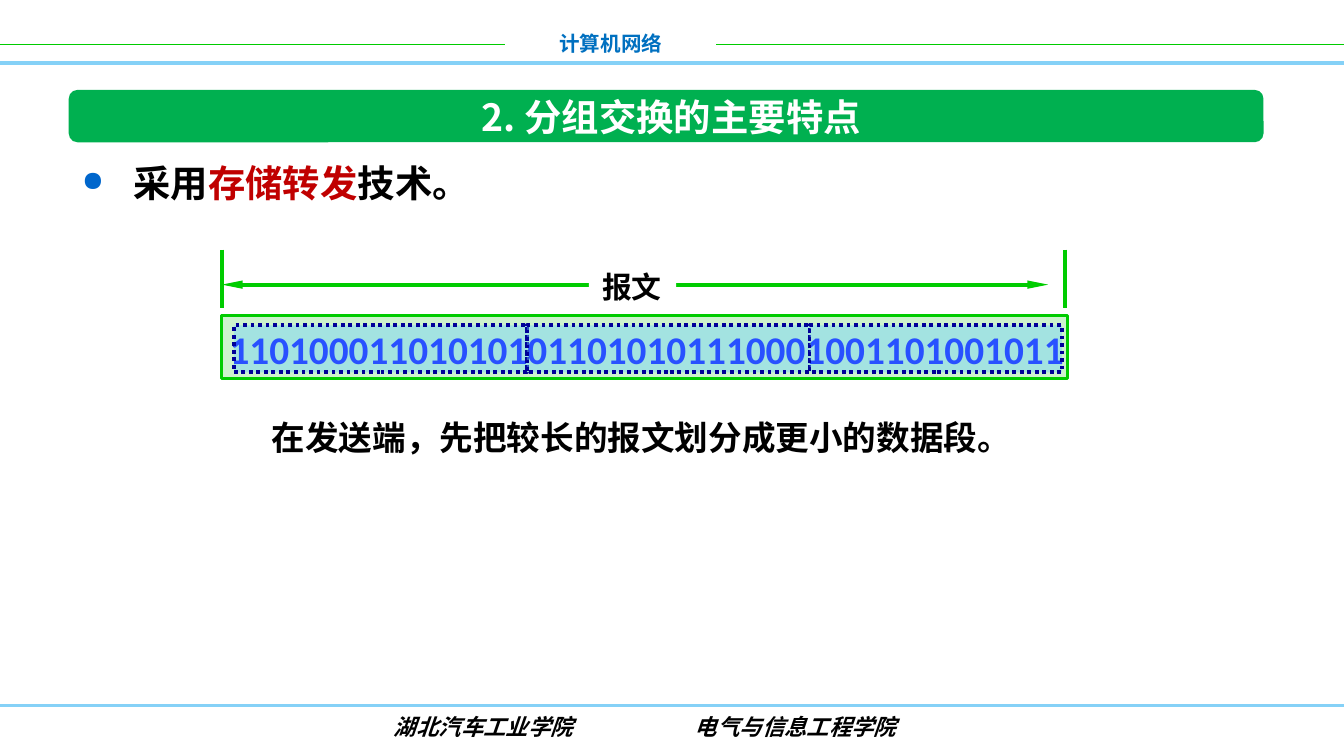
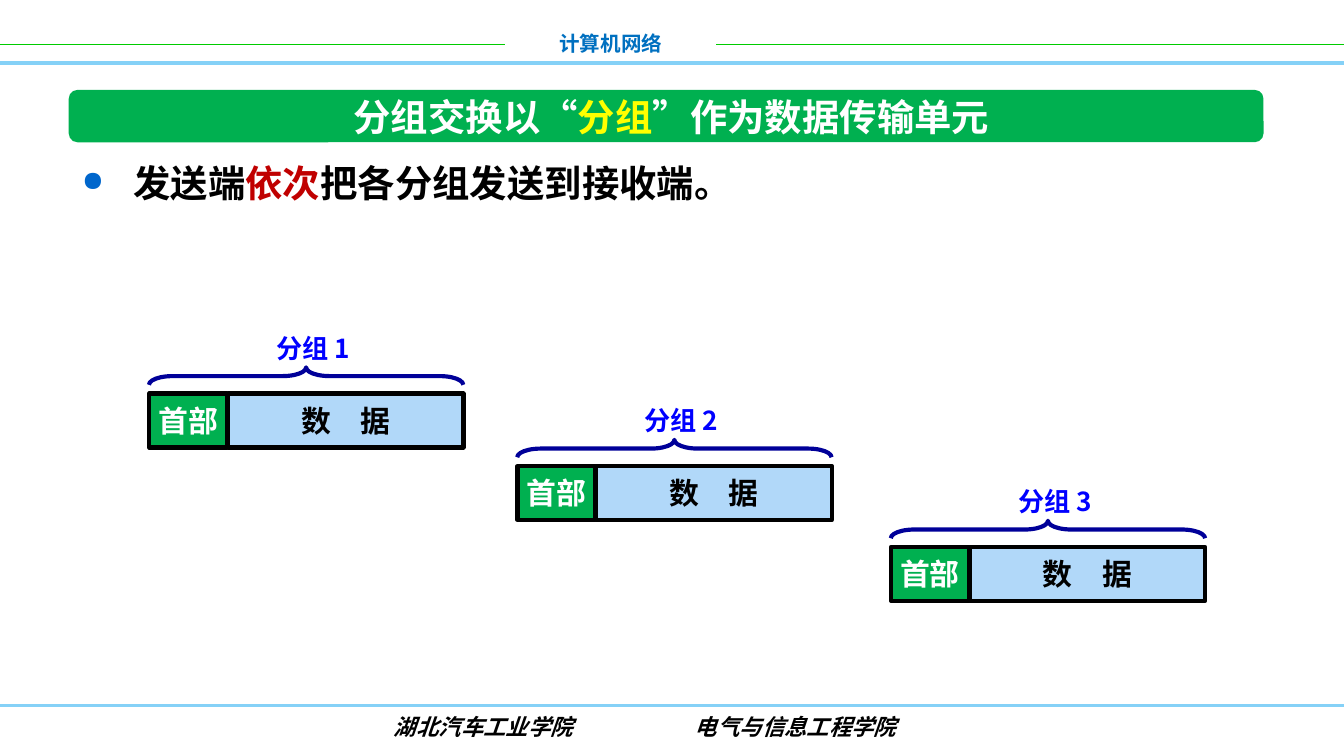
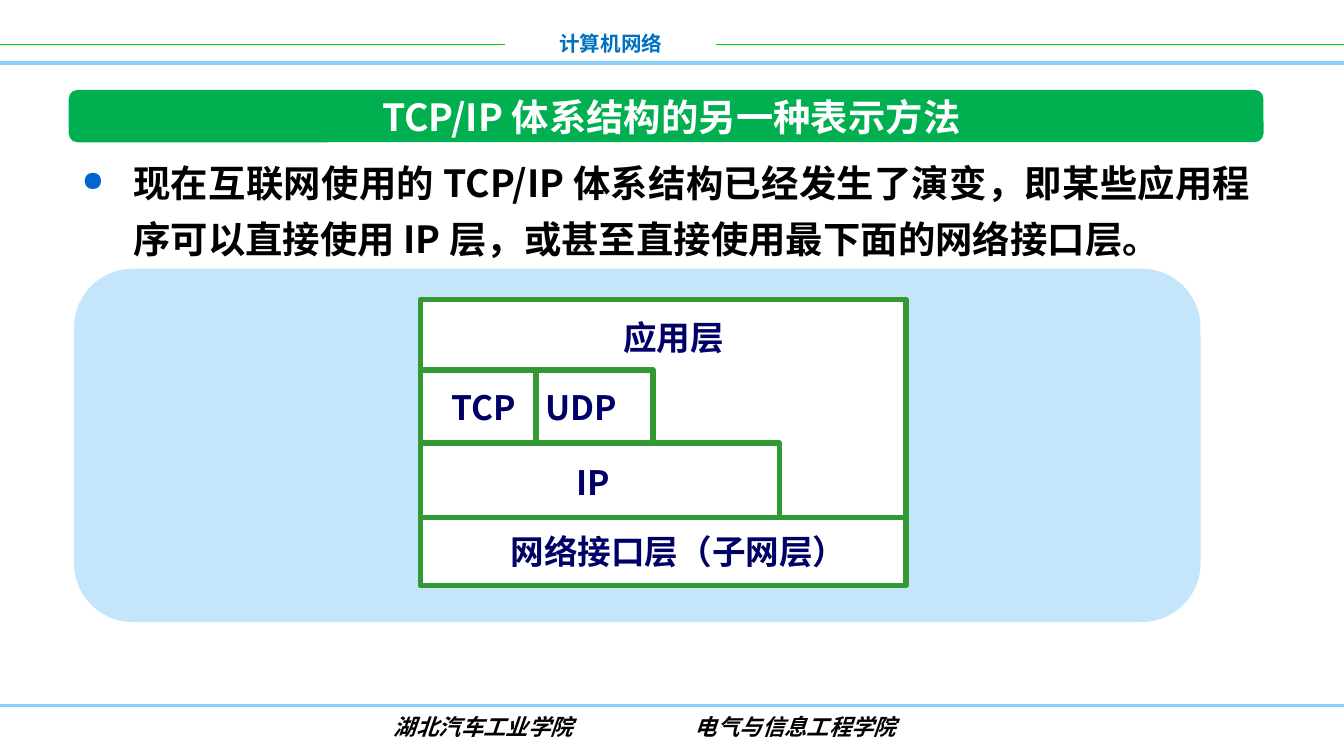
"""Build three slides on packet switching and the TCP/IP stack."""
import lxml.etree
import pptx
import pptx.dml.color
import pptx.enum.dml
import pptx.enum.shapes
import pptx.enum.text
import pptx.oxml.ns
import pptx.shapes.connector
import pptx.util

Cm = pptx.util.Cm
SHAPE = pptx.enum.shapes.MSO_SHAPE
STRAIGHT = pptx.enum.shapes.MSO_CONNECTOR.STRAIGHT
ALIGN = pptx.enum.text.PP_ALIGN
ANCHOR = pptx.enum.text.MSO_ANCHOR
qn = pptx.oxml.ns.qn
CJK_FONT = "Noto Sans CJK SC"

COLORS = {
    "black": "000000", "white": "FFFFFF", "red": "C00000", "yellow": "FFFF00",
    "banner": "00B050", "rule": "00CC00", "sky": "85D1F7", "course": "0070C0",
    "bullet": "0066CC", "blue": "0000FF", "navy": "000099", "message": "CDF3CD",
    "segment": "66CCFF", "data": "B1D8F9", "panel": "C5E5FB",
    "stack": "339933", "layer": "000066",
}


def style(shape, fill=None, line=None, width=1, dash=None, alpha=None):
    """Set the fill and line of a shape or connector and remove its shadow."""
    if line:
        shape.line.color.rgb = pptx.dml.color.RGBColor.from_string(COLORS[line])
        shape.line.width = pptx.util.Pt(width)
        shape.line.dash_style = dash
    else:
        shape.line.fill.background()
    if isinstance(shape, pptx.shapes.connector.Connector):
        lxml.etree.SubElement(shape._element.spPr, qn("a:effectLst"))
        return shape
    shape.shadow.inherit = False
    if fill:
        shape.fill.solid()
        shape.fill.fore_color.rgb = pptx.dml.color.RGBColor.from_string(COLORS[fill])
        if alpha:
            color = shape._element.spPr.find(qn("a:solidFill"))[0]
            lxml.etree.SubElement(color, qn("a:alpha"), val=str(alpha * 1000))
    else:
        shape.fill.background()
    return shape


def write(shape, text, size=18, color="black", font=CJK_FONT, italic=False,
          align=ALIGN.LEFT, anchor=ANCHOR.TOP, wrap=True, bullet=False):
    """Write bold text, given as a string or as (text, color) pairs."""
    frame = shape.text_frame
    frame.word_wrap = wrap
    frame.vertical_anchor = anchor
    paragraph = frame.paragraphs[0]
    paragraph.alignment = align
    if bullet:
        properties = paragraph._p.get_or_add_pPr()
        properties.set("marL", str(Cm(0.97)))
        properties.set("indent", str(-Cm(0.97)))
        bullet_color = lxml.etree.SubElement(properties, qn("a:buClr"))
        lxml.etree.SubElement(bullet_color, qn("a:srgbClr"), val=COLORS["bullet"])
        lxml.etree.SubElement(properties, qn("a:buSzPct"), val="75000")
        lxml.etree.SubElement(properties, qn("a:buChar"), char="●")
        paragraph.line_spacing = pptx.util.Pt(30)
    for words, run_color in [(text, color)] if isinstance(text, str) else text:
        run = paragraph.add_run()
        run.text = words
        run.font.size = pptx.util.Pt(size)
        run.font.bold = True
        run.font.italic = italic
        run.font.color.rgb = pptx.dml.color.RGBColor.from_string(COLORS[run_color])
        run.font.name = font
        lxml.etree.SubElement(run._r.rPr, qn("a:ea"), typeface=CJK_FONT)


presentation = pptx.Presentation()
presentation.slide_width = Cm(25.4)
presentation.slide_height = Cm(14.29)

contents = [
    ("2. 分组交换的主要特点",
     [("采用", "black"), ("存储转发", "red"), ("技术。", "black")], ALIGN.LEFT),
    ([("分组交换以“", "white"), ("分组", "yellow"), ("”作为数据传输单元", "white")],
     [("发送端", "black"), ("依次", "red"), ("把各分组发送到接收端。", "black")], ALIGN.LEFT),
    ("TCP/IP 体系结构的另一种表示方法",
     "现在互联网使用的 TCP/IP 体系结构已经发生了演变，即某些应用程序可以直接使用 IP 层，"
     "或甚至直接使用最下面的网络接口层。", ALIGN.JUSTIFY),
]
page_rules = [
    (0, 9.55, 0.84, "rule", 1), (13.54, 25.4, 0.84, "rule", 1),
    (0, 25.4, 13.34, "sky", 1.5), (0, 25.4, 1.19, "sky", 2),
]

for title, body, body_align in contents:
    slide = presentation.slides.add_slide(presentation.slide_layouts[6])
    for left, right, y, color, width in page_rules:
        rule = slide.shapes.add_connector(STRAIGHT, Cm(left), Cm(y), Cm(right), Cm(y))
        style(rule, line=color, width=width)
    course = slide.shapes.add_textbox(Cm(9.55), Cm(0.46), Cm(3.99), Cm(0.74))
    write(course, "计算机网络", size=11, color="course", align=ALIGN.CENTER)
    for left, school in [(6.64, "湖北汽车工业学院"), (12.54, "电气与信息工程学院")]:
        footer = slide.shapes.add_textbox(Cm(left), Cm(13.36), Cm(5), Cm(0.76))
        write(footer, school, size=12, font="Arial", italic=True, align=ALIGN.CENTER)
    banner = slide.shapes.add_shape(
        SHAPE.ROUNDED_RECTANGLE, Cm(1.3), Cm(1.7), Cm(22.58), Cm(0.99))
    style(banner, fill="banner")
    body_box = slide.shapes.add_textbox(Cm(1.3), Cm(2.69), Cm(22.58), Cm(9.42))
    write(body_box, body, size=20, align=body_align, bullet=True)
    title_box = slide.shapes.add_textbox(Cm(3.48), Cm(1.7), Cm(18.42), Cm(0.99))
    write(title_box, title, size=20, color="white", align=ALIGN.CENTER, anchor=ANCHOR.MIDDLE)

message_slide, packet_slide, stack_slide = presentation.slides

shapes = message_slide.shapes
span = shapes.add_connector(STRAIGHT, Cm(4.19), Cm(5.38), Cm(19.81), Cm(5.38))
style(span, line="rule", width=2.25)
for end in ("a:headEnd", "a:tailEnd"):
    lxml.etree.SubElement(
        span.line._get_or_add_ln(), qn(end), type="triangle", w="sm", len="lg")
span_label = shapes.add_shape(SHAPE.RECTANGLE, Cm(11.13), Cm(4.95), Cm(1.65), Cm(0.94))
write(style(span_label, fill="white"), "报文", size=16, wrap=False)
message = shapes.add_shape(SHAPE.RECTANGLE, Cm(4.19), Cm(5.97), Cm(15.98), Cm(1.19))
style(message, fill="message", line="rule", width=1.5)
for x in (4.19, 20.12):
    tick = shapes.add_connector(STRAIGHT, Cm(x), Cm(4.72), Cm(x), Cm(5.82))
    style(tick, line="rule", width=2.25)
bits = shapes.add_textbox(Cm(4.09), Cm(6.02), Cm(16.41), Cm(1.14))
write(bits, "110100011010101011010101110001001101001011",
      size=21, color="blue", font="Calibri", wrap=False)
segment_edges = [4.42, 9.96, 15.3, 20.07]
for left, right in zip(segment_edges, segment_edges[1:]):
    segment = shapes.add_shape(
        SHAPE.RECTANGLE, Cm(left), Cm(6.15), Cm(right - left), Cm(0.89))
    style(segment, fill="segment", line="navy", width=2, alpha=40,
          dash=pptx.enum.dml.MSO_LINE.ROUND_DOT)
explanation = shapes.add_textbox(Cm(4.13), Cm(7.75), Cm(15.98), Cm(1.02))
write(explanation, "在发送端，先把较长的报文划分成更小的数据段。", align=ALIGN.CENTER)

shapes = packet_slide.shapes
packet_parts = [
    (1.49, 4.45, "data", "数　据", "black"),
    (0, 1.47, "banner", "首部", "white"),
]
for number, (left, top) in enumerate([(2.82, 7.44), (9.78, 8.81), (16.84, 10.34)], 1):
    for offset, width, fill, text, color in packet_parts:
        part = shapes.add_shape(
            SHAPE.RECTANGLE, Cm(left + offset), Cm(top), Cm(width), Cm(1.02))
        style(part, fill=fill, line="black", width=2.25)
        write(part, text, size=16, color=color, align=ALIGN.CENTER,
              anchor=ANCHOR.MIDDLE, wrap=False)
    brace = shapes.add_shape(
        SHAPE.LEFT_BRACE, Cm(left + 2.8), Cm(top - 3.3), Cm(0.33), Cm(5.94))
    brace.adjustments[0] = 1.34
    brace.rotation = 90
    style(brace, line="navy", width=2.25)
    packet_label = shapes.add_textbox(Cm(left + 1.8), Cm(top - 1.3), Cm(2.6), Cm(0.86))
    write(packet_label, f"分组 {number}", size=14, color="blue", align=ALIGN.CENTER,
          anchor=ANCHOR.MIDDLE, wrap=False)

shapes = stack_slide.shapes
panel = shapes.add_shape(SHAPE.ROUNDED_RECTANGLE, Cm(1.4), Cm(5.08), Cm(21.29), Cm(6.68))
style(panel, fill="panel")
stack = shapes.add_shape(SHAPE.RECTANGLE, Cm(7.95), Cm(5.66), Cm(9.17), Cm(5.41))
style(stack, fill="white", line="stack", width=3)
subnet_line = shapes.add_connector(STRAIGHT, Cm(7.95), Cm(9.78), Cm(17.12), Cm(9.78))
style(subnet_line, line="stack", width=3)
for right, top in [(14.73, 8.38), (12.34, 6.99)]:
    builder = shapes.build_freeform(Cm(7.95), Cm(top))
    builder.add_line_segments(
        [(Cm(right), Cm(top)), (Cm(right), Cm(top + 1.35))], close=False)
    style(builder.convert_to_shape(), fill="white", line="stack", width=3)
transport_divider = shapes.add_connector(
    STRAIGHT, Cm(10.13), Cm(7.04), Cm(10.13), Cm(8.38))
style(transport_divider, line="stack", width=3)
layer_labels = [
    ("TCP", 8.28, 7.19, 2.1), ("UDP", 10.06, 7.19, 2.2), ("IP", 10.64, 8.61, 1.4),
    ("应用层", 11.53, 5.87, 2.6), ("网络接口层（子网层）", 9.4, 9.91, 7.2),
]
for text, left, top, width in layer_labels:
    layer_label = shapes.add_textbox(Cm(left), Cm(top), Cm(width), Cm(1.02))
    write(layer_label, text, color="layer", wrap=False)

presentation.save("out.pptx")
